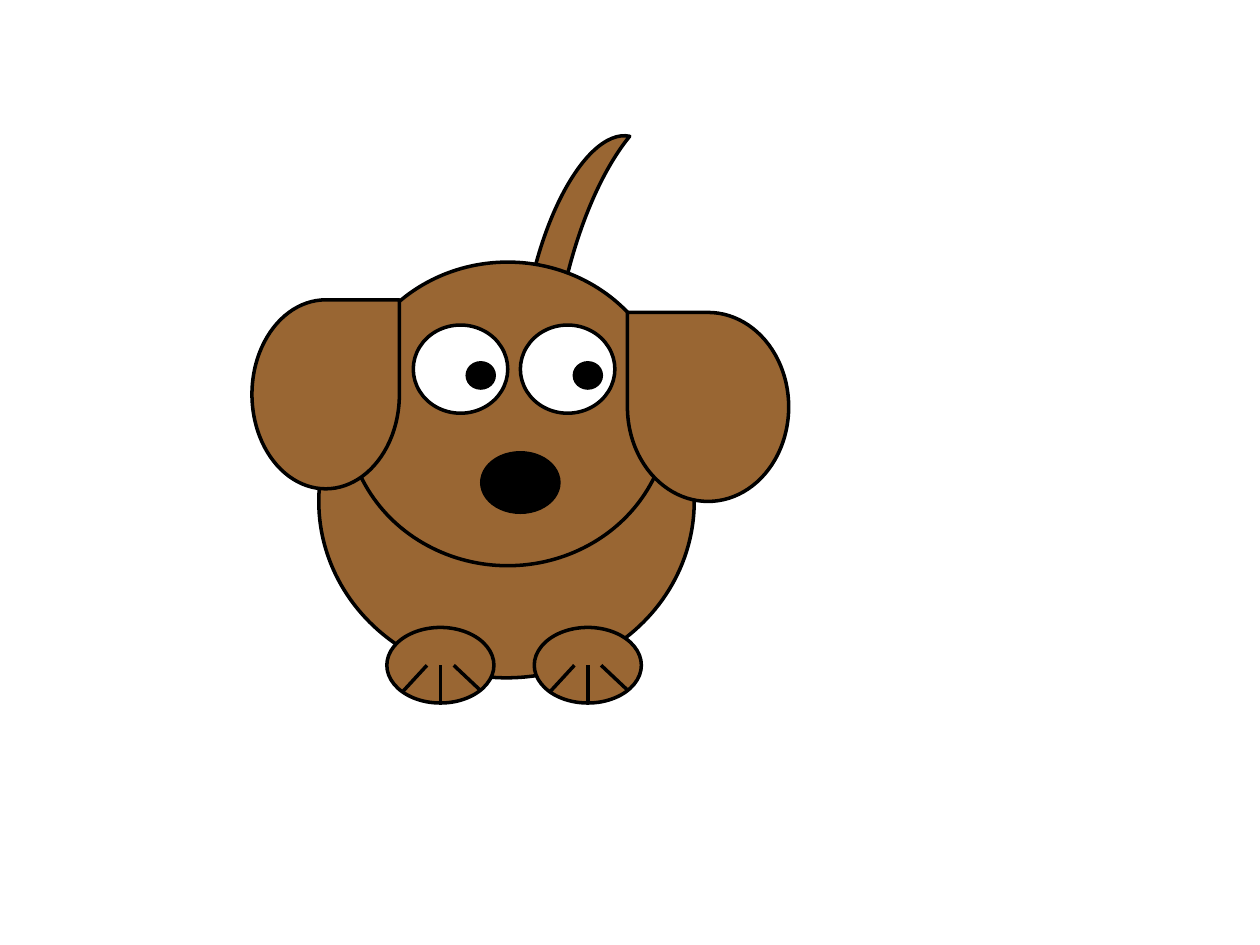
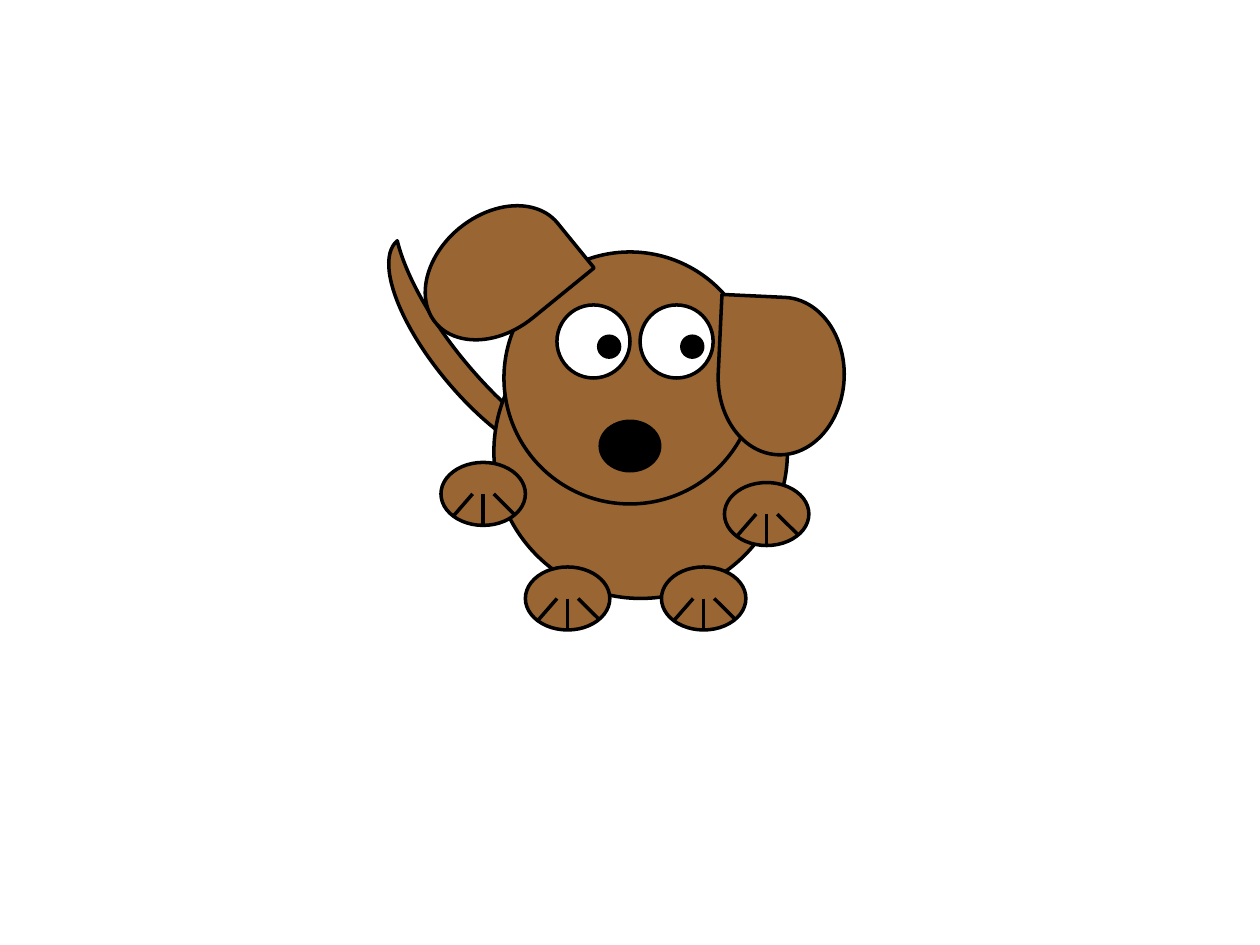
from lxml import etree
from pptx import Presentation
from pptx import util as u
from pptx.dml.color import RGBColor
from pptx.enum import shapes as kinds
from pptx.oxml.ns import qn

PX_PER_INCH = 100
BROWN, BLACK, WHITE = "996633", "000000", "FFFFFF"
OUTLINE = u.Pt(2)
FORM = kinds.MSO_SHAPE

# Each toe line as fractions of its paw: start x, start y, end x, end y
TOES = [(3 / 8, 1 / 2, 1 / 7, 6 / 7), (1 / 2, 1 / 2, 1 / 2, 1), (5 / 8, 1 / 2, 7 / 8, 5 / 6)]


def px(length):
    return u.Emu(round(length * 914400 / PX_PER_INCH))


def colour(code):
    return RGBColor.from_string(code)


def add_part(dog, form, box, fill=BROWN, rotation=0, mirrored=False, outlined=True):
    shape = dog.shapes.add_shape(form, *map(px, box))
    shape.shadow.inherit = False
    shape.rotation = rotation
    shape.fill.solid()
    shape.fill.fore_color.rgb = colour(fill)
    if outlined:
        shape.line.color.rgb = colour(BLACK)
        shape.line.width = OUTLINE
    else:
        shape.line.fill.background()
    if mirrored:
        shape._element.spPr.find(qn("a:xfrm")).set("flipH", "1")


def add_line(dog, *ends):
    line = dog.shapes.add_connector(kinds.MSO_CONNECTOR.STRAIGHT, *map(px, ends))
    line.line.color.rgb = colour(BLACK)
    line.line.width = OUTLINE
    etree.SubElement(line._element.spPr, qn("a:effectLst"))


def add_eye(dog, left, top, width, height):
    add_part(dog, FORM.OVAL, (left, top, width, height), WHITE)
    pupil = (left + width * 4 / 7, top + height * 3 / 7, width * 2 / 7, height * 2 / 7)
    add_part(dog, FORM.OVAL, pupil, BLACK)


def add_paw(dog, left, top, width, height):
    add_part(dog, FORM.OVAL, (left, top, width, height))
    for x1, y1, x2, y2 in TOES:
        add_line(dog, left + x1 * width, top + y1 * height,
                 left + x2 * width, top + y2 * height)


def add_dog(slide, tail, body, head, eyes, nose, left_ear, right_ear, paws,
            tail_turn, left_ear_turn=0, right_ear_turn=0):
    """Draw one grouped dog from back to front; boxes are left, top, width, height."""
    dog = slide.shapes.add_group_shape()
    add_part(dog, FORM.MOON, tail, rotation=tail_turn)
    add_part(dog, FORM.OVAL, body)
    add_part(dog, FORM.OVAL, head)
    for eye in eyes:
        add_eye(dog, *eye)
    add_part(dog, FORM.OVAL, nose, BLACK, outlined=False)
    add_part(dog, FORM.TEAR, left_ear, rotation=left_ear_turn)
    add_part(dog, FORM.TEAR, right_ear, rotation=right_ear_turn, mirrored=True)
    for paw in paws:
        add_paw(dog, *paw)


def add_blank_slide(presentation):
    return presentation.slides.add_slide(presentation.slide_layouts[6])


def main():
    presentation = Presentation()
    presentation.slide_width, presentation.slide_height = px(1000), px(750)

    add_dog(
        add_blank_slide(presentation),
        tail=(420, 100, 53, 270), tail_turn=11.7,
        body=(253, 258, 298, 280),
        head=(275, 208, 256, 241),
        eyes=[(left, 258, 75, 70) for left in (328, 413)],
        nose=(381, 358, 64, 50),
        left_ear=(200, 238, 117, 150),
        right_ear=(498, 248, 128, 150),
        paws=[(left, 498, 85, 60) for left in (307, 424)],
    )
    add_dog(
        add_blank_slide(presentation),
        tail=(351, 178, 42, 225), tail_turn=319.7,
        body=(392, 242, 233, 233),
        head=(400, 200, 200, 200),
        eyes=[(left, 242, 58, 58) for left in (442, 508)],
        nose=(475, 333, 50, 42),
        left_ear=(348, 154, 92, 125), left_ear_turn=50.8,
        right_ear=(570, 236, 100, 125), right_ear_turn=2.7,
        paws=[(left, top, 67, 50)
              for left, top in ((350, 367), (575, 383), (417, 450), (525, 450))],
    )
    presentation.save("out.pptx")


if __name__ == "__main__":
    main()
